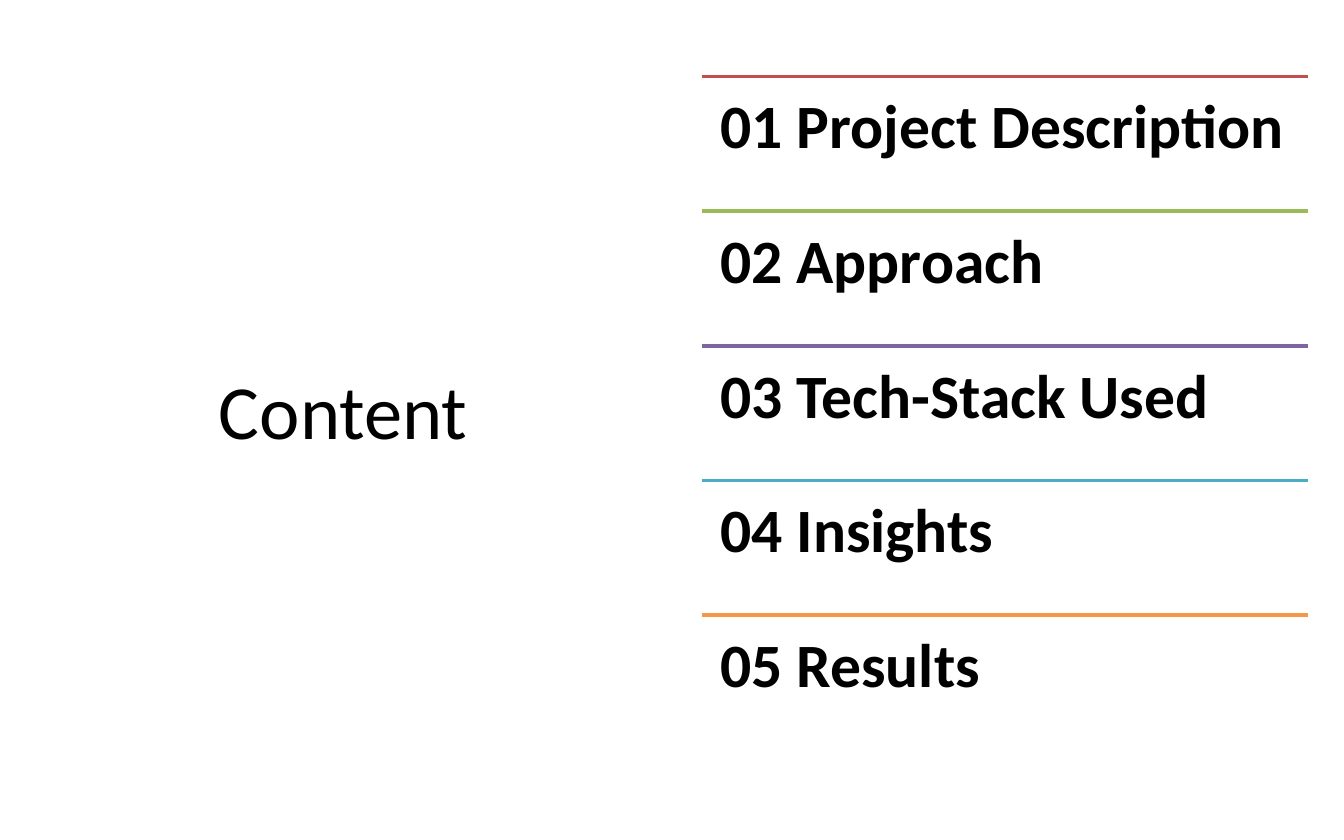
from dataclasses import dataclass

from lxml import etree
from pptx import Presentation
from pptx.dml.color import RGBColor
from pptx.enum.shapes import MSO_CONNECTOR
from pptx.enum.text import MSO_ANCHOR, PP_ALIGN
from pptx.oxml.ns import qn
from pptx.util import Inches, Pt

STRAIGHT = MSO_CONNECTOR.STRAIGHT
TOP, MIDDLE = MSO_ANCHOR.TOP, MSO_ANCHOR.MIDDLE
LEFT, CENTER = PP_ALIGN.LEFT, PP_ALIGN.CENTER


@dataclass(frozen=True)
class Theme:
    """Colours, type and line sizes of the slide."""

    font: str = "Calibri"
    text: str = "000000"
    background: str = "FFFFFF"
    title_size: int = 41
    item_size: int = 33
    rule_width: int = 2
    accents: tuple = ("C0504D", "9BBB59", "8064A2", "4BACC6", "F79646")


THEME = Theme()
SLIDE_WIDTH, SLIDE_HEIGHT = 10, 6.25
TITLE_BOX = (0.29, 0.51, 4.53, 5.07)
LIST_LEFT, LIST_TOP, LIST_WIDTH, LIST_HEIGHT = 5.22, 0.57, 4.51, 5.01
ITEMS = ("Project Description", "Approach", "Tech-Stack Used", "Insights", "Results")


def add_text(slide, text, box, size, bold=False, align=LEFT, anchor=TOP, inset=0.1):
    """Add a wrapped one-paragraph text box and return its paragraph."""
    frame = slide.shapes.add_textbox(*map(Inches, box)).text_frame
    frame.word_wrap = True
    frame.vertical_anchor = anchor
    frame.margin_left = frame.margin_right = Inches(inset)
    frame.margin_top = frame.margin_bottom = Inches(inset)
    paragraph = frame.paragraphs[0]
    paragraph.text = text
    paragraph.alignment = align
    paragraph.font.name = THEME.font
    paragraph.font.size = Pt(size)
    paragraph.font.bold = bold
    paragraph.font.color.rgb = RGBColor.from_string(THEME.text)
    return paragraph


def add_rule(slide, left, top, width, color):
    """Add a horizontal rule without a shadow."""
    rule = slide.shapes.add_connector(
        STRAIGHT, Inches(left), Inches(top), Inches(left + width), Inches(top)
    )
    rule.line.color.rgb = RGBColor.from_string(color)
    rule.line.width = Pt(THEME.rule_width)
    etree.SubElement(rule._element.spPr, qn("a:effectLst"))


def add_contents(slide, items):
    """Add numbered items in equal rows, each under a coloured rule."""
    row_height = LIST_HEIGHT / len(items)
    for row, (item, color) in enumerate(zip(items, THEME.accents)):
        top = LIST_TOP + row * row_height
        add_rule(slide, LIST_LEFT, top, LIST_WIDTH, color)
        box = (LIST_LEFT, top, LIST_WIDTH, row_height)
        paragraph = add_text(
            slide, f"{row + 1:02d} {item}", box, THEME.item_size, bold=True, inset=0.14
        )
        paragraph.line_spacing = 0.9


def main():
    """Build the contents slide and save it."""
    presentation = Presentation()
    presentation.slide_width = Inches(SLIDE_WIDTH)
    presentation.slide_height = Inches(SLIDE_HEIGHT)
    slide = presentation.slides.add_slide(presentation.slide_layouts[6])
    slide.background.fill.solid()
    slide.background.fill.fore_color.rgb = RGBColor.from_string(THEME.background)
    add_text(slide, "Content", TITLE_BOX, THEME.title_size, align=CENTER, anchor=MIDDLE)
    add_contents(slide, ITEMS)
    presentation.save("out.pptx")


if __name__ == "__main__":
    main()
